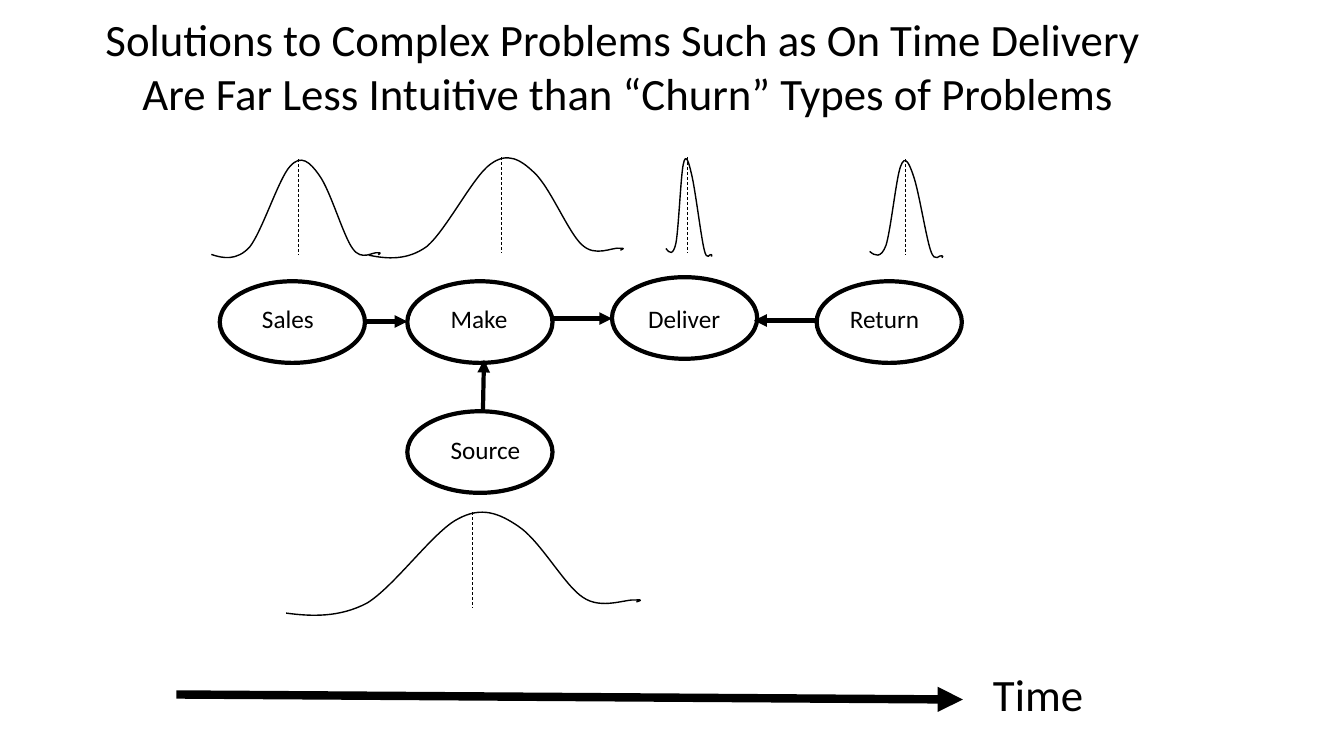
from lxml.etree import SubElement
from pptx import Presentation
from pptx.dml.color import RGBColor
from pptx.enum.dml import MSO_LINE
from pptx.enum.shapes import MSO_CONNECTOR, MSO_SHAPE
from pptx.enum.text import MSO_AUTO_SIZE, PP_ALIGN
from pptx.oxml.ns import qn
from pptx.util import Pt

PX = 9144  # one hundred px to the inch
BLACK = "000000"
FONT = "Calibri"

# Bell curve as fractions of its box: a start point, then Bezier triples
BELL = [
    (0, 0.89),
    (0.07, 0.94), (0.15, 0.97), (0.23, 0.84),
    (0.31, 0.69), (0.43, 0.16), (0.5, 0.05),
    (0.57, -0.07), (0.62, 0.02), (0.67, 0.16),
    (0.73, 0.32), (0.79, 0.79), (0.84, 0.92),
    (0.89, 1.06), (0.96, 0.96), (0.99, 0.98),
    (1.01, 0.98), (1.0, 0.99), (0.99, 1.0),
]
BELL_HEIGHT = 98
BELL_TILT = -3.6
MEAN = 0.533  # place of the dashed mean line across the bell

# Name, oval left and top, label left and top
STEPS = [
    ("Sales", 218, 279, 250, 296),
    ("Source", 404, 408, 437, 426),
    ("Make", 404, 279, 437, 296),
    ("Deliver", 607, 275, 633, 296),
    ("Return", 810, 279, 833, 296),
]
# Start and end of each flow arrow
FLOWS = [
    (363, 319, 404, 319),
    (548, 316, 607, 316),
    (479, 408, 480, 357),
    (810, 318, 748, 318),
]
# Left, top and width of each bell
BELLS = [
    (207, 160, 167),
    (363, 158, 252),
    (658, 158, 45),
    (860, 160, 72),
    (281, 510, 351),
]


def emu(*lengths):
    return [round(length * PX) for length in lengths]


def color(value):
    return RGBColor.from_string(value)


def style_line(line, width, dash=None):
    line.color.rgb = color(BLACK)
    line.width = Pt(width)
    if dash:
        line.dash_style = dash


def add_text(page, box, lines, size, align=PP_ALIGN.LEFT):
    frame = page.shapes.add_textbox(*emu(*box)).text_frame
    frame.word_wrap = True
    frame.auto_size = MSO_AUTO_SIZE.SHAPE_TO_FIT_TEXT
    for number, line in enumerate(lines):
        para = frame.add_paragraph() if number else frame.paragraphs[0]
        para.alignment = align
        span = para.add_run()
        span.text = line
        for name, value in {"name": FONT, "size": Pt(size)}.items():
            setattr(span.font, name, value)
        span.font.color.rgb = color(BLACK)


def add_line(parent, ends, width, arrow=False, dash=None):
    connector = parent.shapes.add_connector(MSO_CONNECTOR.STRAIGHT, *emu(*ends))
    style_line(connector.line, width, dash)
    if arrow:
        SubElement(connector.line._get_or_add_ln(), qn("a:tailEnd"), type="triangle")
    SubElement(connector._element.spPr, qn("a:effectLst"))


def add_step(page, name, left, top, label_left, label_top):
    oval = page.shapes.add_shape(MSO_SHAPE.OVAL, *emu(left, top, 144, 81))
    oval.shadow.inherit = False
    oval.fill.background()
    style_line(oval.line, 3)
    add_text(page, (label_left, label_top, 99, 40), [name], 18)


def curve_segments(shape):
    """Turn each three straight segments into one cubic Bezier."""
    outline = shape._element.find(".//" + qn("a:path"))
    segments = outline.findall(qn("a:lnTo"))
    for first in range(0, len(segments), 3):
        curve = SubElement(outline, qn("a:cubicBezTo"))
        for segment in segments[first:first + 3]:
            curve.append(segment[0])
            outline.remove(segment)


def add_bell(page, left, top, width):
    group = page.shapes.add_group_shape()
    points = [emu(left + x * width, top + y * BELL_HEIGHT) for x, y in BELL]
    builder = group.shapes.build_freeform(*points[0])
    builder.add_line_segments(points[1:], close=False)
    bell = builder.convert_to_shape()
    curve_segments(bell)
    bell.rotation = BELL_TILT
    bell.shadow.inherit = False
    bell.fill.background()
    style_line(bell.line, 1)
    middle = left + MEAN * width
    add_line(group, (middle, top - 2, middle, top + 93), 0.5, dash=MSO_LINE.DASH)


def add_process(page):
    for step in STEPS:
        add_step(page, *step)
    for ends in FLOWS:
        add_line(page, ends, 3, arrow=True)
    for bell in BELLS:
        add_bell(page, *bell)


def add_time_axis(page, left, top):
    add_line(page, (left, top, left + 780, top + 5), 6, arrow=True)
    add_text(page, (left + 800, top - 32, 115, 64), ["Time"], 32)


def main():
    deck = Presentation()
    deck.slide_width, deck.slide_height = emu(1333, 750)
    page = deck.slides.add_slide(deck.slide_layouts[6])
    title = [
        "Solutions to Complex Problems Such as On Time Delivery ",
        "Are Far Less Intuitive than “Churn” Types of Problems",
    ]
    add_text(page, (-51, 7, 1348, 118), title, 32, PP_ALIGN.CENTER)
    add_process(page)
    add_time_axis(page, 175, 689)
    deck.save("out.pptx")


if __name__ == "__main__":
    main()
